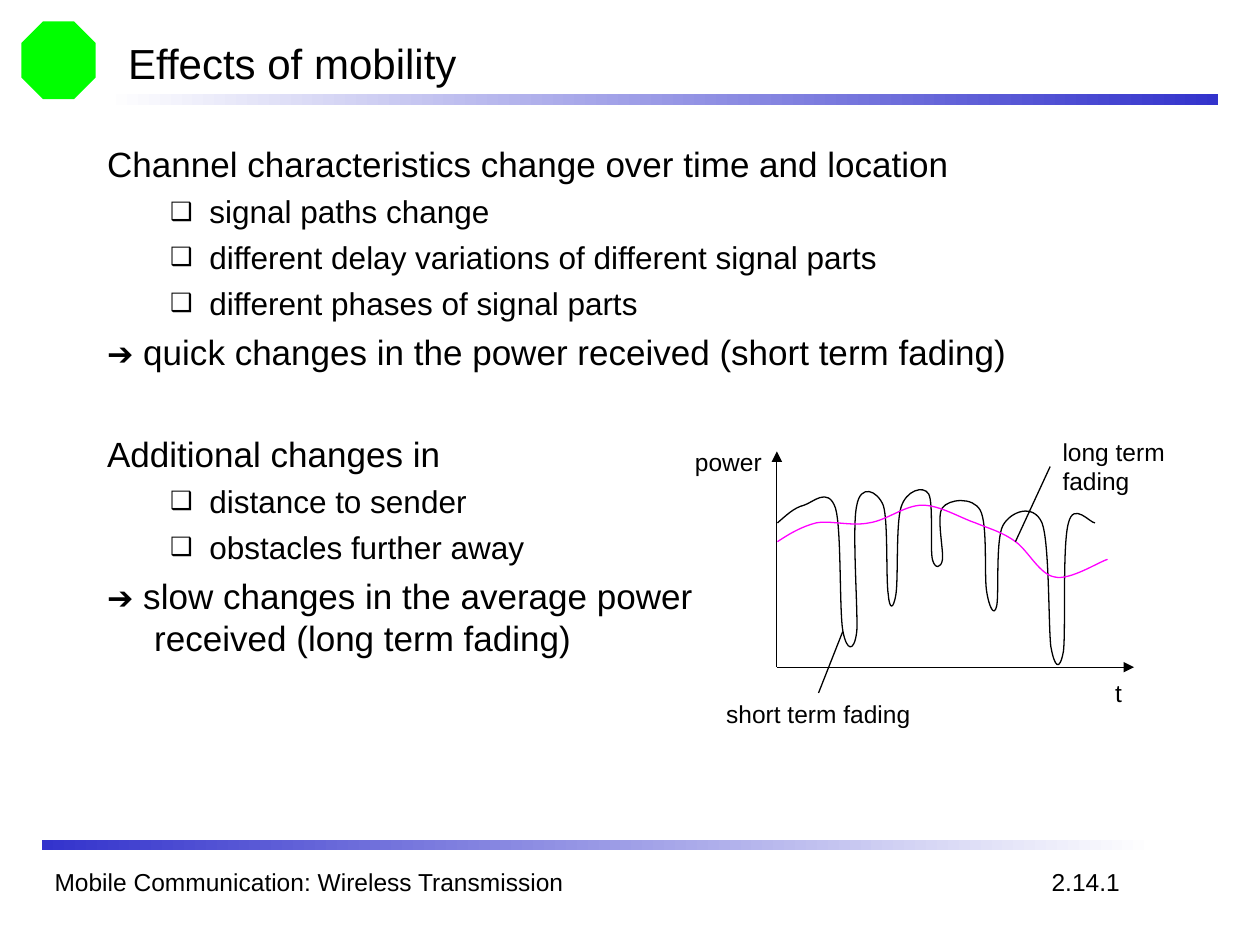
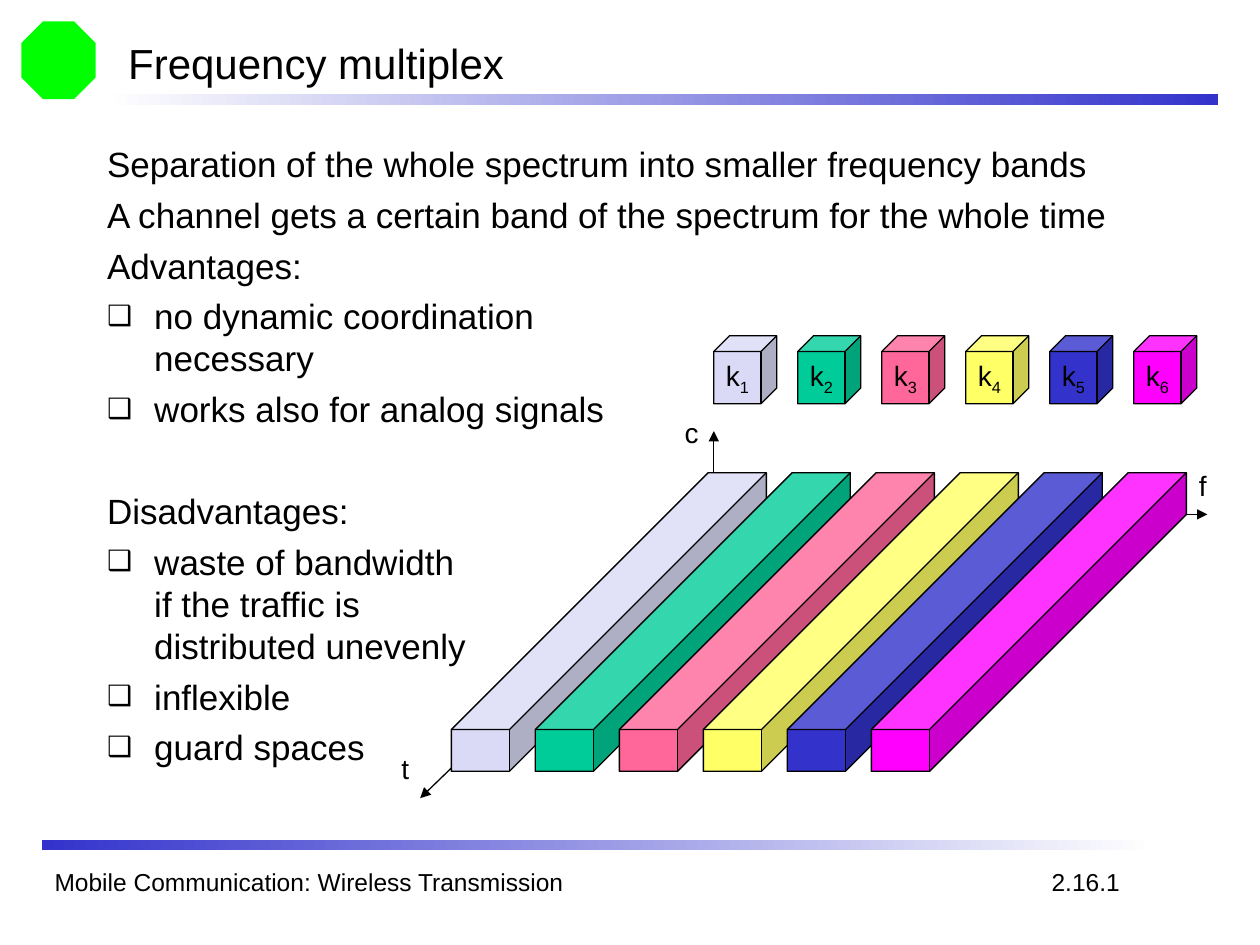
from dataclasses import dataclass
from typing import NamedTuple

from lxml.etree import SubElement
from pptx import Presentation
from pptx.dml.color import RGBColor
from pptx.enum.shapes import MSO_CONNECTOR, MSO_SHAPE
from pptx.enum.text import MSO_ANCHOR, MSO_AUTO_SIZE, PP_ALIGN
from pptx.oxml.ns import qn
from pptx.util import Cm, Pt


@dataclass(frozen=True)
class Theme:
    font: str = "Arial"
    ink: str = "000000"
    paper: str = "FFFFFF"
    band: str = "3333CC"
    emblem: str = "00FF00"
    average: str = "FF00FF"
    channels: tuple = ("DADAF6", "00CC99", "FF6699", "FFFF66", "3333CC", "FF00FF")
    title: float = 24
    body: float = 20
    sub: float = 18
    channel: float = 16
    small: float = 14
    line: float = 0.75


THEME = Theme()
FOOTER = "Mobile Communication: Wireless Transmission"


class Style(NamedTuple):
    size: float
    before: float
    left: float
    hang: float
    bullet: bool


PLAIN = Style(THEME.body, 5, 0.95, 0.95, False)
ITEM = PLAIN._replace(bullet=True)
SUB = Style(THEME.sub, 4.5, 2.06, 0.79, True)
NEW_PART = PLAIN._replace(before=34.2)


class Line(NamedTuple):
    text: str
    style: Style = PLAIN
    lead: str = ""


class Label(NamedTuple):
    text: str
    left: float
    top: float
    width: float
    height: float
    size: float = THEME.small
    wrap: bool = False


class Band(NamedTuple):
    left: float
    top: float
    colors: tuple[str, str]


BANDS = [
    Band(2.12, 1.9, (THEME.paper, THEME.band)),
    Band(0.85, 16.93, (THEME.band, THEME.paper)),
]

MOBILITY_TEXT = [
    Line("Channel characteristics change over time and location"),
    Line("signal paths change", SUB),
    Line("different delay variations of different signal parts", SUB),
    Line("different phases of signal parts", SUB),
    Line(" quick changes in the power received (short term fading)", lead="➔"),
    Line("Additional changes in", NEW_PART),
    Line("distance to sender", SUB),
    Line("obstacles further away", SUB),
    Line(" slow changes in the average power \nreceived (long term fading)", lead="➔"),
]

MULTIPLEX_TEXT = [
    Line("Separation of the whole spectrum into smaller frequency bands"),
    Line("A channel gets a certain band of the spectrum for the whole time"),
    Line("Advantages:"),
    Line("no dynamic coordination \nnecessary", ITEM),
    Line("works also for analog signals", ITEM),
    Line("Disadvantages:", NEW_PART),
    Line("waste of bandwidth \nif the traffic is \ndistributed unevenly", ITEM),
    Line("inflexible", ITEM),
    Line("guard spaces", ITEM),
]

# Curves: a start point, then three Bézier points per segment, in 1/100 inch.
CURVE_UNIT = Cm(2.54) / 100
SHORT_TERM = [
    (617, 415),
    (624, 409), (630, 403), (638, 401), (645, 399), (657, 386), (663, 403),
    (668, 419), (666, 485), (669, 501), (672, 517), (678, 518), (680, 501),
    (681, 484), (676, 418), (680, 401), (683, 384), (696, 389), (701, 401),
    (705, 413), (703, 460), (705, 472), (706, 484), (709, 484), (711, 472),
    (713, 461), (711, 416), (715, 403), (719, 389), (733, 385), (737, 392),
    (741, 399), (738, 435), (740, 444), (742, 452), (747, 451), (748, 444),
    (749, 437), (743, 409), (748, 403), (753, 396), (772, 394), (778, 405),
    (784, 416), (781, 456), (783, 469), (785, 482), (789, 490), (791, 481),
    (793, 473), (790, 428), (796, 417), (802, 406), (820, 399), (827, 415),
    (833, 431), (832, 496), (834, 513), (837, 530), (841, 533), (844, 517),
    (846, 501), (843, 432), (848, 415), (852, 398), (865, 415), (869, 415),
]
LONG_TERM = [
    (617, 430),
    (626, 424), (636, 418), (648, 415), (660, 413), (676, 418), (690, 415),
    (704, 413), (718, 401), (732, 401), (746, 401), (762, 411), (774, 415),
    (786, 420), (795, 422), (806, 430), (816, 437), (825, 456), (837, 458),
    (849, 461), (872, 446), (879, 444),
]


def rgb(color: str) -> RGBColor:
    return RGBColor.from_string(color)


def write(p, text: str, *, size: float, color: str = THEME.ink, baseline: int = 0) -> None:
    """Add text to a paragraph; a newline becomes a line break."""
    for i, part in enumerate(text.split("\n")):
        if i:
            p.add_line_break()
        r = p.add_run()
        r.text = part
        r.font.name = THEME.font
        r.font.size = Pt(size)
        r.font.color.rgb = rgb(color)
        if baseline:
            r._r.get_or_add_rPr().set("baseline", str(baseline * 1000))


def add_bullet(p) -> None:
    pPr = p._p.get_or_add_pPr()
    SubElement(SubElement(pPr, qn("a:buClr")), qn("a:srgbClr")).set("val", THEME.ink)
    SubElement(pPr, qn("a:buSzPct")).set("val", "80000")
    SubElement(pPr, qn("a:buFont")).set("typeface", THEME.font)
    SubElement(pPr, qn("a:buChar")).set("char", "❑")


def add_body(s, lines: list[Line], width: float) -> None:
    tf = s.shapes.add_textbox(Cm(1.91), Cm(2.75), Cm(width), Cm(14.18)).text_frame
    tf.word_wrap = True
    for i, line in enumerate(lines):
        p = tf.add_paragraph() if i else tf.paragraphs[0]
        style = line.style
        pPr = p._p.get_or_add_pPr()
        pPr.set("marL", str(Cm(style.left)))
        pPr.set("indent", str(-Cm(style.hang)))
        if style.bullet:
            add_bullet(p)
        if i:
            p.space_before = Pt(style.before)
        if line.lead:
            write(p, line.lead, size=THEME.sub)
        write(p, line.text, size=style.size)


def add_label(s, label: Label):
    box = s.shapes.add_textbox(
        Cm(label.left), Cm(label.top), Cm(label.width), Cm(label.height))
    tf = box.text_frame
    tf.word_wrap = label.wrap
    if not label.wrap:
        tf.auto_size = MSO_AUTO_SIZE.SHAPE_TO_FIT_TEXT
    write(tf.paragraphs[0], label.text, size=label.size)
    return box


def add_line(s, start: tuple[float, float], end: tuple[float, float], arrow: bool = False):
    line = s.shapes.add_connector(MSO_CONNECTOR.STRAIGHT, *map(Cm, start + end))
    line.line.color.rgb = rgb(THEME.ink)
    line.line.width = Pt(THEME.line)
    if arrow:
        SubElement(line.line._get_or_add_ln(), qn("a:tailEnd")).set("type", "triangle")
    SubElement(line._element.spPr, qn("a:effectLst"))
    return line


def add_leader(s, label_box, side: int, end: tuple[float, float]) -> None:
    """Join one side of a label to a point on a curve."""
    add_line(s, end, end).begin_connect(label_box, side)


def add_curve(s, points: list[tuple[int, int]], color: str) -> None:
    """Outline all points, then turn every three segments into one Bézier."""
    builder = s.shapes.build_freeform(*points[0], scale=CURVE_UNIT)
    builder.add_line_segments(points[1:], close=False)
    sp = builder.convert_to_shape()
    outline = next(sp._element.iter(qn("a:path")))
    segments = outline.findall(qn("a:lnTo"))
    for i in range(0, len(segments), 3):
        bezier = SubElement(outline, qn("a:cubicBezTo"))
        for segment in segments[i:i + 3]:
            bezier.append(segment[0])
            outline.remove(segment)
    sp.shadow.inherit = False
    sp.fill.background()
    sp.line.color.rgb = rgb(color)
    sp.line.width = Pt(THEME.line)


def add_preset(s, kind, left: float, top: float, width: float, height: float):
    sp = s.shapes.add_shape(kind, Cm(left), Cm(top), Cm(width), Cm(height))
    sp.shadow.inherit = False
    sp.line.fill.background()
    return sp


def add_cube(s, left: float, top: float, width: float, height: float,
             depth: float, color: str):
    sp = add_preset(s, MSO_SHAPE.CUBE, left, top, width, height)
    sp.adjustments[0] = depth
    sp.fill.solid()
    sp.fill.fore_color.rgb = rgb(color)
    sp.line.color.rgb = rgb(THEME.ink)
    sp.line.width = Pt(THEME.line)
    return sp


def add_slide(prs, title: str, number: str):
    """Start a slide with its emblem, bands, footer and title."""
    s = prs.slides.add_slide(prs.slide_layouts[5])
    emblem = add_preset(s, MSO_SHAPE.OCTAGON, 0.43, 0.43, 1.5, 1.57)
    emblem.fill.solid()
    emblem.fill.fore_color.rgb = rgb(THEME.emblem)
    for band in BANDS:
        fill = add_preset(s, MSO_SHAPE.RECTANGLE, band.left, band.top, 22.44, 0.21).fill
        fill.gradient()
        fill.gradient_angle = 0
        for stop, color in zip(fill.gradient_stops, band.colors):
            stop.color.rgb = rgb(color)
    add_label(s, Label(FOOTER, 0.85, 17.36, 12.5, 0.85, wrap=True))
    add_label(s, Label(number, 20.95, 17.36, 1.88, 0.86))

    heading = s.shapes.title
    heading.left, heading.top, heading.width, heading.height = map(
        Cm, (2.33, 0.63, 21.59, 1.27))
    tf = heading.text_frame
    tf.vertical_anchor = MSO_ANCHOR.MIDDLE
    p = tf.paragraphs[0]
    p.alignment = PP_ALIGN.LEFT
    write(p, title, size=THEME.title)
    return s


def build_mobility(prs) -> None:
    s = add_slide(prs, "Effects of mobility", "2.14.1")
    add_body(s, MOBILITY_TEXT, 21.59)
    origin = (15.66, 13.45)
    for tip in ((22.86, 13.45), (15.66, 9.1)):
        add_line(s, origin, tip, arrow=True)
    add_curve(s, SHORT_TERM, THEME.ink)
    add_curve(s, LONG_TERM, THEME.average)
    short_box = add_label(s, Label("short term fading", 14.39, 13.97, 4.22, 0.86))
    long_box = add_label(s, Label("long term\nfading", 21.17, 8.68, 2.57, 1.45))
    add_leader(s, short_box, 0, (16.99, 12.73))
    add_leader(s, long_box, 1, (20.47, 10.92))
    add_label(s, Label("t", 22.23, 13.55, 0.64, 0.86))
    add_label(s, Label("power", 13.76, 8.89, 1.85, 0.86))


def build_multiplex(prs) -> None:
    s = add_slide(prs, "Frequency multiplex", "2.16.1")
    origin = (14.39, 10.37)
    for tip in ((8.47, 16.09), (14.39, 8.69), (24.34, 10.37)):
        add_line(s, origin, tip, arrow=True)
    add_body(s, MULTIPLEX_TEXT, 22.65)
    pitch = 25.4 / 15
    for i, color in enumerate(THEME.channels):
        add_cube(s, 9.1 + i * pitch, 9.53, 6.35, 6.02, 0.86, color)
    for i, color in enumerate(THEME.channels):
        key = add_cube(s, 14.39 + i * pitch, 6.77, 1.27, 1.37, 0.25, color)
        tf = key.text_frame
        tf.word_wrap = False
        tf.vertical_anchor = MSO_ANCHOR.MIDDLE
        p = tf.paragraphs[0]
        p.alignment = PP_ALIGN.CENTER
        write(p, "k", size=THEME.channel)
        write(p, str(i + 1), size=THEME.channel, baseline=-25)
    for text, left, top in (("f", 23.92, 9.32), ("t", 7.84, 15.03), ("c", 13.55, 8.26)):
        add_label(s, Label(text, left, top, 0.66, 0.94, THEME.channel))


def main() -> None:
    prs = Presentation()
    prs.slide_width, prs.slide_height = Cm(25.4), Cm(19.05)
    build_mobility(prs)
    build_multiplex(prs)
    prs.save("out.pptx")


if __name__ == "__main__":
    main()
